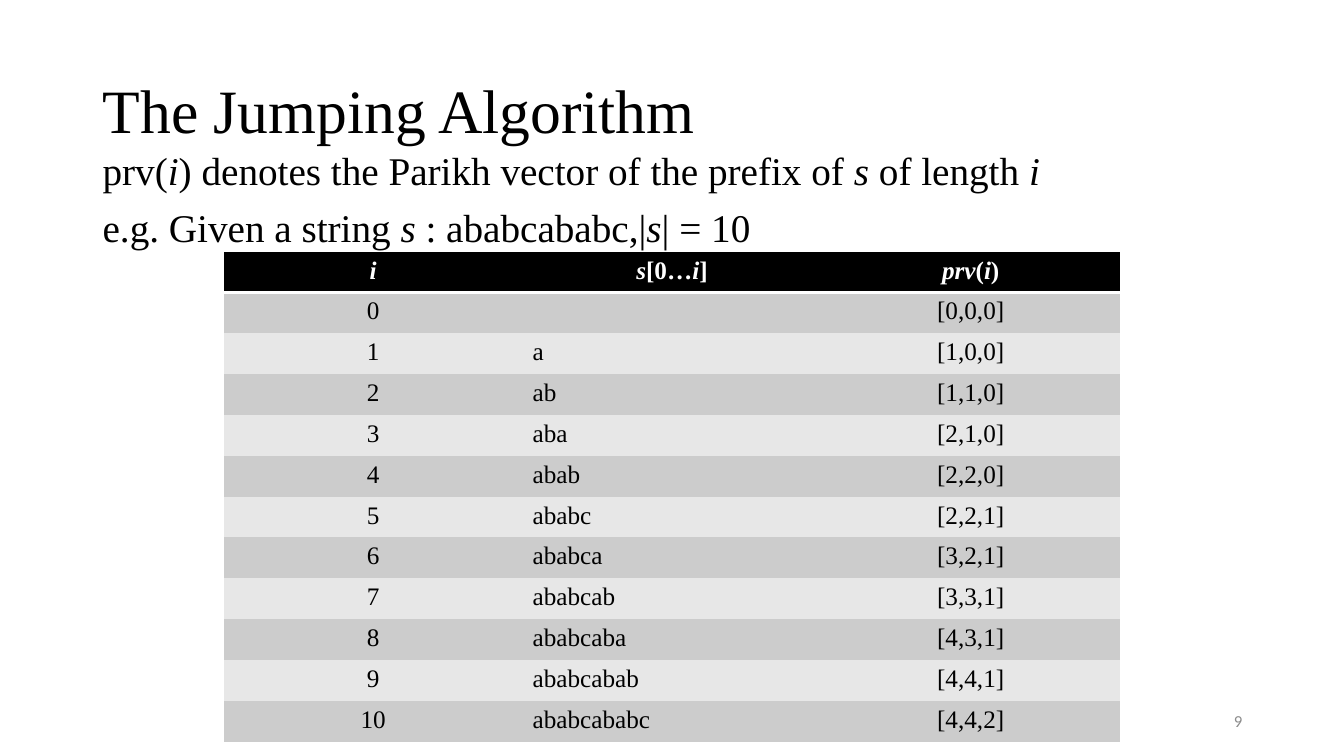
from lxml import etree
from pptx import Presentation
from pptx.dml.color import RGBColor
from pptx.enum.text import MSO_ANCHOR, PP_ALIGN
from pptx.oxml.ns import qn
from pptx.util import Inches, Pt

LEFT, MID, RIGHT = PP_ALIGN.LEFT, PP_ALIGN.CENTER, PP_ALIGN.RIGHT
TOP, CENTER = MSO_ANCHOR.TOP, MSO_ANCHOR.MIDDLE
SERIF, SANS = "Times New Roman", "Calibri"
BLACK, WHITE, GREY = "000000", "FFFFFF", "8C8C8C"
BANDS = "CCCCCC", "E7E7E7"
PLAIN = "{2D5ABB26-0587-4C30-8999-92F81FD0307C}"
WORD = "ababcababc"


def color(code):
    return RGBColor.from_string(code)


class Deck:
    """Holds the text style and the current slide."""

    def __init__(self):
        self.show = Presentation()
        self.show.slide_width = Inches(13.33)
        self.show.slide_height = Inches(7.5)
        self.slide = self.show.slides.add_slide(self.show.slide_layouts[5])

    def fill_in(self, para, runs, size, tint=BLACK, face=SERIF, align=LEFT, bold=False):
        para.alignment = align
        for words, slant in runs:
            run = para.add_run()
            run.text = words
            font = run.font
            font.name, font.size = face, Pt(size)
            font.bold, font.italic = bold, slant
            font.color.rgb = color(tint)

    def place(self, shape, box, anchor):
        shape.left, shape.top, shape.width, shape.height = map(Inches, box)
        shape.text_frame.word_wrap = True
        shape.text_frame.vertical_anchor = anchor
        return shape.text_frame

    def title(self, box, words):
        frame = self.place(self.slide.shapes.title, box, CENTER)
        para = frame.paragraphs[0]
        para.line_spacing = 0.9
        self.fill_in(para, [(words, False)], 44)

    def text(self, box, lines, size, anchor=TOP, space=1, **style):
        shape = self.slide.shapes.add_textbox(*map(Inches, box))
        frame = self.place(shape, box, anchor)
        for n, runs in enumerate(lines):
            para = frame.add_paragraph() if n else frame.paragraphs[0]
            para.line_spacing = space
            if n:
                para.space_before = Pt(10)
            self.fill_in(para, runs, size, **style)

    def cell(self, cell, runs, fill, **style):
        cell.fill.solid()
        cell.fill.fore_color.rgb = color(fill)
        self.fill_in(cell.text_frame.paragraphs[0], runs, 18, **style)

    def rule(self, cell, tint, width):
        props = cell._tc.get_or_add_tcPr()
        line = etree.Element(qn("a:lnB"), w=str(Pt(width)))
        fill = etree.SubElement(line, qn("a:solidFill"))
        etree.SubElement(fill, qn("a:srgbClr"), val=tint)
        props.insert(0, line)

    def table(self, box, head, rows, first):
        shape = self.slide.shapes.add_table(len(rows) + 1, len(head), *map(Inches, box))
        table = shape.table
        table.horz_banding = False
        table._tbl.tblPr.find(qn("a:tableStyleId")).text = PLAIN
        for row in table.rows:
            row.height = Inches((box[3] - first) / len(rows))
        table.rows[0].height = Inches(first)
        for c, runs in enumerate(head):
            cell = table.cell(0, c)
            self.cell(cell, runs, BLACK, tint=WHITE, align=MID, bold=True)
            self.rule(cell, WHITE, 2)
        for r, row in enumerate(rows):
            for c, words in enumerate(row):
                runs = [(words, False)] if words else []
                align = LEFT if c == 1 else MID
                self.cell(table.cell(r + 1, c), runs, BANDS[r % 2], align=align)


def main():
    deck = Deck()
    deck.title((0.92, 0.4, 11.5, 1.45), "The Jumping Algorithm")
    lines = [
        [("prv(", False), ("i", True),
         (") denotes the Parikh vector of the prefix of ", False),
         ("s", True), (" of length ", False), ("i", True)],
        [("e.g. Given a string ", False), ("s ", True),
         (f": {WORD},|", False), ("s", True), ("| = 10", False)],
    ]
    deck.text((0.92, 1.46, 11.5, 4.76), lines, 28, space=0.9)
    deck.text((9.42, 6.95, 3, 0.4), [[("9", False)]], 12, CENTER,
              tint=GREY, face=SANS, align=RIGHT)
    head = [
        [("i", True)],
        [("s", True), ("[0…", False), ("i", True), ("]", False)],
        [("prv", True), ("(", False), ("i", True), (")", False)],
    ]
    rows = []
    for n in range(len(WORD) + 1):
        part = WORD[:n]
        counts = ",".join(str(part.count(sign)) for sign in "abc")
        rows.append((str(n), part, f"[{counts}]"))
    deck.table((2.22, 2.5, 8.89, 4.83), head, rows, 0.37)
    deck.show.save("out.pptx")


if __name__ == "__main__":
    main()
